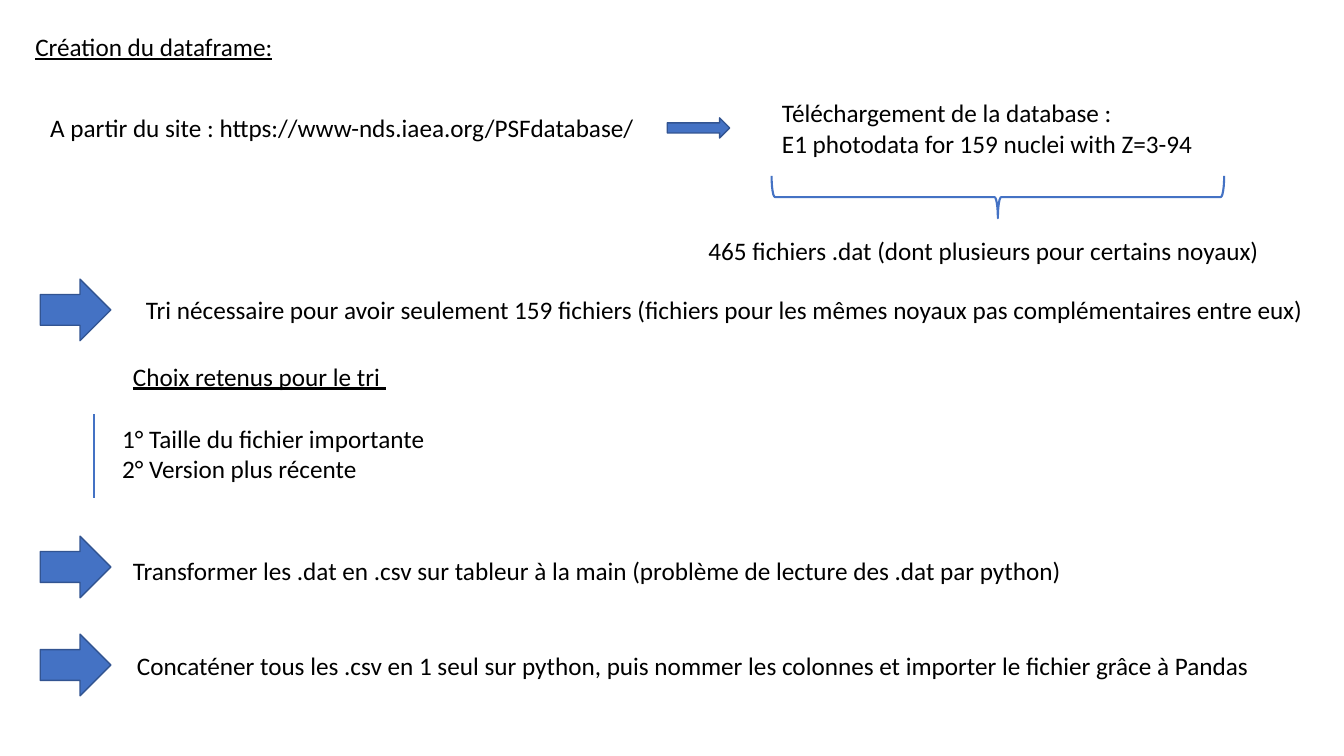
from pptx import Presentation
from pptx.dml import color
from pptx.enum import shapes, text
from pptx.oxml import xmlchemy
from pptx.util import Pt

COLORS = {"text": "000000", "blue": "4472C4", "outline": "325491"}
FONT = "Calibri"
LINE_H = 29
TWO_LINES_H = 51


def rgb(name):
    return color.RGBColor.from_string(COLORS[name])


def write(sp, lines, underline=False, wrap=False):
    tf = sp.text_frame
    tf.text = lines
    tf.word_wrap = wrap
    tf.auto_size = text.MSO_AUTO_SIZE.NONE
    tf.vertical_anchor = text.MSO_ANCHOR.TOP
    for p in tf.paragraphs:
        p.alignment = text.PP_ALIGN.LEFT
        p.space_before = Pt(0)
        for r in p.runs:
            r.font.name = FONT
            r.font.size = Pt(18)
            r.font.underline = underline
            r.font.color.rgb = rgb("text")


def place(sp, x, y, w, h):
    sp.left, sp.top, sp.width, sp.height = Pt(x), Pt(y), Pt(w), Pt(h)


def add_label(s, x, y, w, lines, h=LINE_H, underline=False):
    sp = s.shapes.add_textbox(Pt(x), Pt(y), Pt(w), Pt(h))
    write(sp, lines, underline)


def add_arrow(s, x, y, w, h):
    sp = s.shapes.add_shape(shapes.MSO_SHAPE.RIGHT_ARROW, Pt(x), Pt(y), Pt(w), Pt(h))
    sp.shadow.inherit = False
    sp.fill.solid()
    sp.fill.fore_color.rgb = rgb("blue")
    sp.line.color.rgb = rgb("outline")
    sp.line.width = Pt(1)


def add_brace_below(s, x, y, w, h):
    sp = s.shapes.add_shape(
        shapes.MSO_SHAPE.RIGHT_BRACE,
        Pt(x + (w - h) / 2), Pt(y + (h - w) / 2), Pt(h), Pt(w),
    )
    sp.rotation = 90
    sp.adjustments[0] = 0.08
    sp.adjustments[1] = 0.5
    sp.shadow.inherit = False
    sp.fill.background()
    sp.line.color.rgb = rgb("blue")
    sp.line.width = Pt(1.5)


def add_title(s, x, y, w, h, title):
    sp = s.shapes.title
    place(sp, x, y, w, h)
    write(sp, title, underline=True, wrap=True)


def add_source(s, x, y):
    add_label(s, x, y + 10.8, 432, "A partir du site : https://www-nds.iaea.org/PSFdatabase/")
    add_arrow(s, x + 447.8, y + 18, 44.6, 14.4)
    add_label(
        s, x + 522.7, y, 316,
        "Téléchargement de la database :\nE1 photodata for 159 nuclei with Z=3-94",
        TWO_LINES_H,
    )
    add_brace_below(s, x + 522.3, y + 59.5, 323.3, 30.2)
    add_label(s, x + 470.2, y + 98, 412.6, "465 fichiers .dat (dont plusieurs pour certains noyaux)")


def add_step(s, x, y, text_dx, text_dy, w, step):
    add_arrow(s, x, y, 50.4, 44)
    add_label(s, x + text_dx, y + text_dy, w, step)


def add_criteria(s, x, y, h):
    add_label(s, x + 20.9, y - 41.8, 197.3, "Choix retenus pour le tri ", underline=True)
    bar = s.shapes.add_connector(shapes.MSO_CONNECTOR.STRAIGHT, Pt(x), Pt(y), Pt(x), Pt(y + h))
    bar.line.color.rgb = rgb("blue")
    bar.line.width = Pt(1.5)
    xmlchemy.OxmlElement("a:effectLst")
    bar._element.spPr.append(xmlchemy.OxmlElement("a:effectLst"))
    sp = s.placeholders[1]
    place(sp, x + 13, y + 2.9, 237.6, TWO_LINES_H)
    sp.text_frame.text = ""
    write(sp, "1° Taille du fichier importante \v2° Version plus récente")
    pPr = sp.text_frame.paragraphs[0]._p.get_or_add_pPr()
    pPr.set("marL", "0")
    pPr.set("indent", "0")
    pPr.append(xmlchemy.OxmlElement("a:buNone"))


def main():
    prs = Presentation()
    prs.slide_width, prs.slide_height = Pt(960), Pt(540)
    s = prs.slides.add_slide(prs.slide_layouts[1])
    add_title(s, 18, 18.7, 205, LINE_H, "Création du dataframe:")
    add_source(s, 28.8, 66.2)
    add_step(
        s, 28.8, 199.4, 68.4, 7.2, 847.4,
        "Tri nécessaire pour avoir seulement 159 fichiers "
        "(fichiers pour les mêmes noyaux pas complémentaires entre eux)",
    )
    add_criteria(s, 67, 296, 59.8)
    add_step(
        s, 28.8, 383, 59, 10, 668.2,
        "Transformer les .dat en .csv sur tableur à la main "
        "(problème de lecture des .dat par python)",
    )
    add_step(
        s, 28.8, 453, 62, 7.9, 823,
        "Concaténer tous les .csv en 1 seul sur python, puis nommer "
        "les colonnes et importer le fichier grâce à Pandas",
    )
    prs.save("out.pptx")


if __name__ == "__main__":
    main()
